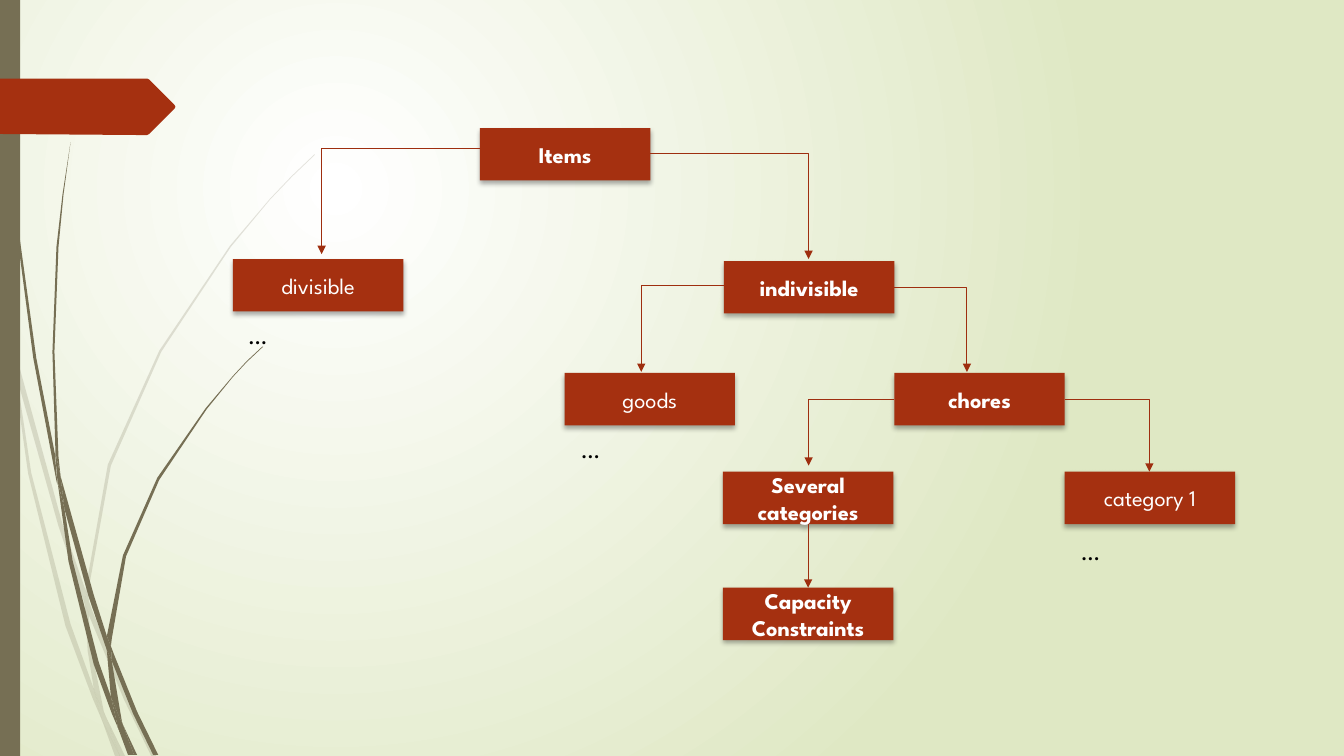
"""Draws a tree of item types on a pale green slide with curved grass stalks."""
from dataclasses import dataclass

from lxml import etree
from pptx import Presentation
from pptx.dml.color import RGBColor
from pptx.enum.shapes import MSO_CONNECTOR, MSO_SHAPE
from pptx.enum.text import MSO_ANCHOR, PP_ALIGN
from pptx.oxml.ns import qn
from pptx.util import Pt

RECTANGLE = MSO_SHAPE.RECTANGLE
ELBOW, STRAIGHT = MSO_CONNECTOR.ELBOW, MSO_CONNECTOR.STRAIGHT
MIDDLE, TOP = MSO_ANCHOR.MIDDLE, MSO_ANCHOR.TOP
CENTER, RIGHT = PP_ALIGN.CENTER, PP_ALIGN.RIGHT
SIDE_TOP, SIDE_BOTTOM = 0, 2
EMU_PER_PX = 9144
SLIDE_WIDTH, SLIDE_HEIGHT = 1333, 750
NODE_WIDTH, NODE_HEIGHT = 169, 52


@dataclass(frozen=True)
class Theme:
    font: str = "League Spartan"
    node: str = "A53010"
    link: str = "9E2E0F"
    stalk: str = "766F54"
    glow: str = "FFFFFF"
    meadow: str = "DFE8C4"
    light_text: str = "FFFFFF"
    dark_text: str = "000000"
    shadow: str = "000000"
    label_size: int = 16
    more_size: int = 18
    link_weight: float = 0.75
    faint_alpha: int = 20
    shadow_alpha: int = 32


def px(length):
    return length * EMU_PER_PX


def add_xml(parent, tag, **attributes):
    return etree.SubElement(parent, qn(tag), {k: str(v) for k, v in attributes.items()})


class TreeSlide:
    def __init__(self, slide, theme):
        self.slide = slide
        self.shapes = slide.shapes
        self.theme = theme

    def background(self):
        fill = self.slide.background.fill
        fill.gradient()
        for stop, color in zip(fill.gradient_stops, (self.theme.glow, self.theme.meadow)):
            stop.color.rgb = RGBColor.from_string(color)
        gradient = self.slide.element.xpath(".//p:bg//a:gradFill")[0]
        gradient.remove(gradient.find(qn("a:lin")))
        circle = add_xml(gradient, "a:path", path="circle")
        add_xml(circle, "a:fillToRect", l=50000, t=50000, r=100000, b=100000)

    def paint(self, shape, color):
        shape.shadow.inherit = False
        shape.fill.solid()
        shape.fill.fore_color.rgb = RGBColor.from_string(color)
        shape.line.fill.background()
        return shape

    def outline(self, points, color, alpha=None):
        builder = self.shapes.build_freeform(*points[0], scale=EMU_PER_PX)
        builder.add_line_segments(points[1:], close=True)
        shape = self.paint(builder.convert_to_shape(), color)
        if alpha is not None:
            tint = shape.element.spPr.find(qn("a:solidFill"))[0]
            add_xml(tint, "a:alpha", val=alpha * 1000)

    def rectangle(self, left, top, width, height, color):
        shape = self.shapes.add_shape(RECTANGLE, px(left), px(top), px(width), px(height))
        return self.paint(shape, color)

    def label(self, shape, lines, size, color, align, anchor, bold=False):
        frame = shape.text_frame
        frame.word_wrap = True
        frame.vertical_anchor = anchor
        for index, line in enumerate(lines):
            paragraph = frame.add_paragraph() if index else frame.paragraphs[0]
            paragraph.alignment = align
            run = paragraph.add_run()
            run.text = line
            run.font.name = self.theme.font
            run.font.size = Pt(size)
            run.font.bold = bold
            run.font.color.rgb = RGBColor.from_string(color)

    def node(self, left, top, lines, bold):
        shape = self.rectangle(left, top, NODE_WIDTH, NODE_HEIGHT, self.theme.node)
        effects = shape.element.spPr.find(qn("a:effectLst"))
        shadow = add_xml(effects, "a:outerShdw", blurRad=Pt(3.5), dist=Pt(2.2),
                         dir=5400000, rotWithShape=0)
        tint = add_xml(shadow, "a:srgbClr", val=self.theme.shadow)
        add_xml(tint, "a:alpha", val=self.theme.shadow_alpha * 1000)
        frame = shape.text_frame
        frame.margin_top = frame.margin_bottom = 0
        self.label(shape, lines, self.theme.label_size, self.theme.light_text,
                   CENTER, MIDDLE, bold)
        return shape

    def more(self, left, top):
        box = self.shapes.add_textbox(px(left), px(top), px(130), px(40))
        self.label(box, ["…"], self.theme.more_size, self.theme.dark_text, RIGHT, TOP)

    def link(self, kind, start, end):
        connector = self.shapes.add_connector(kind, *map(px, start + end))
        connector.line.color.rgb = RGBColor.from_string(self.theme.link)
        connector.line.width = Pt(self.theme.link_weight)
        properties = connector.element.spPr
        add_xml(properties.find(qn("a:ln")), "a:tailEnd", type="triangle")
        add_xml(properties, "a:effectLst")
        return connector

    def branch(self, start, end):
        properties = self.link(ELBOW, start, end).element.spPr
        properties.find(qn("a:prstGeom")).set("prst", "bentConnector2")
        if end[0] < start[0]:
            frame = properties.find(qn("a:xfrm"))
            frame.attrib.pop("flipH")
            frame.set("rot", "10800000")
            frame.set("flipV", "1")


FAINT_STALKS = [
    [(11, 350), (9, 322), (0, 282), (0, 299), (10, 344)],
    [(58, 522), (84, 599), (85, 586), (62, 520), (14, 345), (17, 376)],
    [(92, 607), (88, 596), (88, 610), (123, 694), (150, 750), (155, 750), (127, 692)],
    [(119, 750), (124, 750), (105, 711)],
    [(93, 683), (70, 619), (31, 469), (17, 376), (11, 350), (28, 470), (65, 621),
     (92, 693), (101, 714), (99, 707)],
    [(84, 599), (87, 646), (93, 683), (96, 692), (105, 711), (103, 706), (91, 646),
     (88, 610), (88, 608)],
    [(88, 584), (110, 462), (160, 349), (229, 245), (268, 198), (290, 175), (312, 154),
     (312, 153), (289, 175), (268, 197), (228, 244), (158, 348), (107, 461), (85, 584),
     (85, 586), (88, 596)],
    [(101, 714), (114, 750), (119, 750)],
    [(88, 608), (88, 610), (88, 596), (85, 586), (84, 599)],
    [(96, 692), (93, 683), (99, 707), (101, 714), (119, 750), (105, 711)],
]
DARK_STALKS = [
    [(7, 110), (17, 233), (33, 355), (56, 477), (57, 481), (55, 457), (55, 453),
     (36, 355), (19, 232), (8, 109), (5, 48), (4, 0), (3, 0), (4, 48)],
    [(88, 592), (106, 645), (106, 631), (93, 590), (60, 472), (64, 505)],
    [(113, 649), (110, 641), (111, 656), (132, 708), (152, 749), (157, 749), (136, 706)],
    [(110, 691), (98, 657), (72, 556), (64, 505), (57, 477), (68, 557), (93, 659),
     (111, 708), (117, 722), (116, 717)],
    [(60, 472), (58, 453), (54, 349), (58, 245), (63, 193), (70, 141), (62, 193),
     (56, 245), (52, 349), (55, 449)],
    [(133, 749), (136, 749), (122, 719)],
    [(57, 477), (64, 505), (60, 472), (55, 449), (55, 453)],
    [(111, 633), (125, 552), (158, 476), (205, 406), (231, 374), (245, 359), (261, 344),
     (260, 344), (245, 358), (231, 373), (204, 405), (156, 474), (122, 551), (106, 631),
     (110, 641)],
    [(117, 722), (127, 749), (131, 749)],
    [(106, 645), (110, 691), (116, 706), (122, 719), (121, 716), (111, 656), (109, 651)],
    [(106, 645), (109, 651), (111, 656), (110, 641), (106, 631)],
    [(116, 706), (110, 691), (116, 717), (117, 722), (130, 749), (133, 749), (122, 719)],
]
BANNER = [(173, 108), (148, 133), (146, 134), (136, 134), (0, 133), (0, 78), (146, 78),
          (148, 79), (173, 104), (174, 106)]
NODES = {
    "items": (476, 127, ["Items"], True),
    "divisible": (231, 257, ["divisible"], False),
    "indivisible": (718, 259, ["indivisible"], True),
    "goods": (560, 370, ["goods"], False),
    "chores": (887, 370, ["chores"], True),
    "several": (717, 468, ["Several", "categories"], True),
    "single": (1056, 468, ["category 1"], False),
    "capacity": (717, 583, ["Capacity Constraints"], True),
}
BRANCHES = [((645, 152), (802, 257)), ((476, 147), (319, 252)), ((887, 285), (959, 369)),
            ((718, 283), (636, 369)), ((1056, 396), (1140, 468)), ((887, 396), (802, 462))]
MORE = [(145, 312), (475, 425), (971, 526)]


def main():
    theme = Theme()
    deck = Presentation()
    deck.slide_width, deck.slide_height = px(SLIDE_WIDTH), px(SLIDE_HEIGHT)
    tree = TreeSlide(deck.slides.add_slide(deck.slide_layouts[6]), theme)
    tree.background()
    for stalks, alpha in ((FAINT_STALKS, theme.faint_alpha), (DARK_STALKS, None)):
        for stalk in stalks:
            tree.outline(stalk, theme.stalk, alpha)
    tree.rectangle(0, 0, 20, SLIDE_HEIGHT, theme.stalk)
    tree.outline(BANNER, theme.node)
    nodes = {name: tree.node(*details) for name, details in NODES.items()}
    for start, end in BRANCHES:
        tree.branch(start, end)
    constraint = tree.link(STRAIGHT, (802, 520), (802, 583))
    constraint.begin_connect(nodes["several"], SIDE_BOTTOM)
    constraint.end_connect(nodes["capacity"], SIDE_TOP)
    for spot in MORE:
        tree.more(*spot)
    deck.save("out.pptx")


if __name__ == "__main__":
    main()
